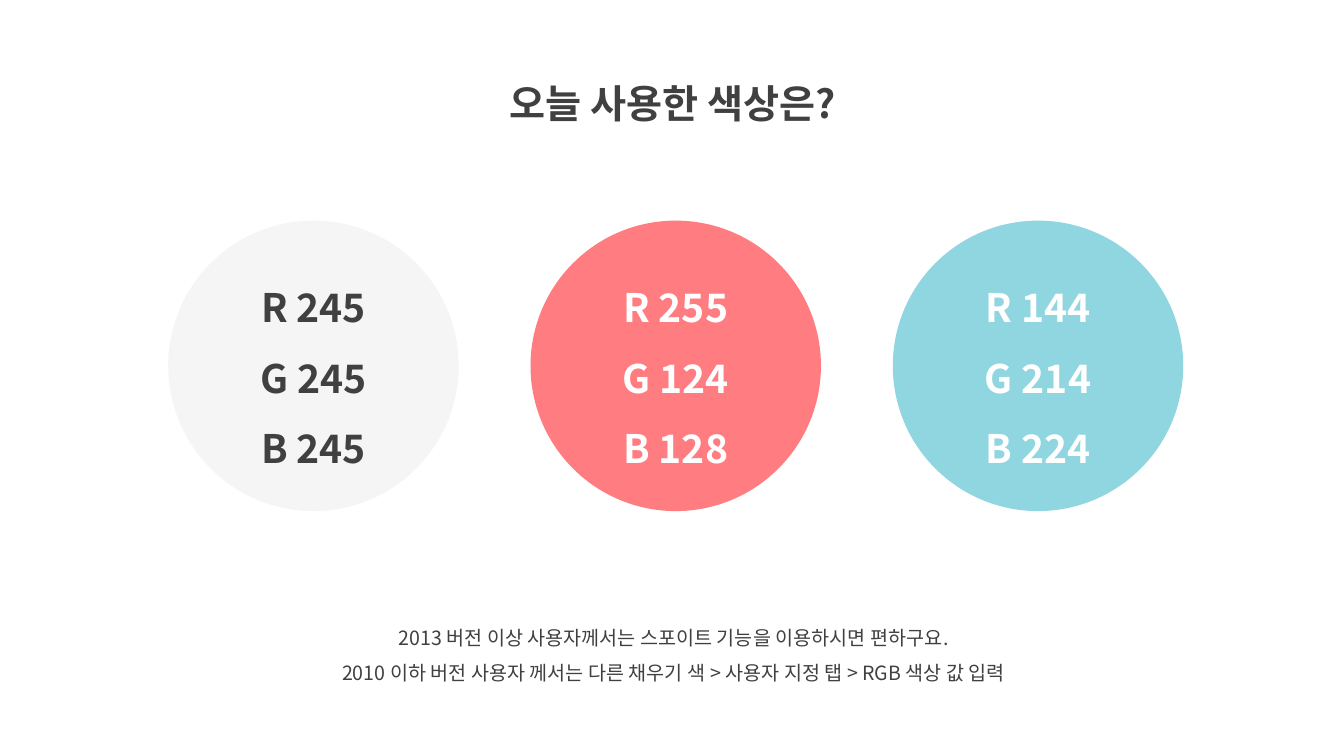
from lxml import etree
from pptx import Presentation
from pptx.dml.color import RGBColor
from pptx.enum.shapes import MSO_SHAPE
from pptx.enum.text import MSO_ANCHOR, MSO_AUTO_SIZE, PP_ALIGN
from pptx.oxml.ns import qn
from pptx.util import Cm, Pt

# Content
TITLE = ["오늘 사용한 색상은?"]
NOTES = [
    "2013 버전 이상 사용자께서는 스포이트 기능을 이용하시면 편하구요.",
    "2010 이하 버전 사용자 께서는 다른 채우기 색 > 사용자 지정 탭 > RGB 색상 값 입력",
]
DARK = RGBColor(64, 64, 64)
WHITE = RGBColor(255, 255, 255)
SWATCHES = [  # fill, text colour
    (RGBColor(245, 245, 245), DARK),
    (RGBColor(255, 124, 128), WHITE),
    (RGBColor(144, 214, 224), WHITE),
]

# Layout, in centimetres
FONT = "Noto Sans CJK KR"
CIRCLE_LEFT, CIRCLE_TOP, CIRCLE_SIZE, CIRCLE_PITCH = 4.24, 5.56, 7.32, 9.13


def write_lines(frame, lines, size, color, bold=False):
    frame.word_wrap = True
    for i, line in enumerate(lines):
        paragraph = frame.paragraphs[0] if i == 0 else frame.add_paragraph()
        paragraph.alignment = PP_ALIGN.CENTER
        paragraph.line_spacing = 1.5
        run = paragraph.add_run()
        run.text = line
        font = run.font
        font.name, font.size, font.bold = FONT, Pt(size), bold
        font.color.rgb = color
        # Korean glyphs take the East Asian typeface
        etree.SubElement(run._r.get_or_add_rPr(), qn("a:ea"), typeface=FONT)


def add_text(slide, box, lines, size, bold=False):
    frame = slide.shapes.add_textbox(*map(Cm, box)).text_frame
    write_lines(frame, lines, size, DARK, bold)
    frame.auto_size = MSO_AUTO_SIZE.SHAPE_TO_FIT_TEXT


prs = Presentation()
prs.slide_width, prs.slide_height = Cm(33.87), Cm(19.05)
slide = prs.slides.add_slide(prs.slide_layouts[6])

# Title and notes
add_text(slide, (11.07, 1.27, 11.76, 1.83), TITLE, 28, bold=True)
add_text(slide, (6.83, 15.34, 20.29, 2.06), NOTES, 14)

# Colour circles, each labelled with its own RGB values
for i, (fill, text_color) in enumerate(SWATCHES):
    circle = slide.shapes.add_shape(
        MSO_SHAPE.OVAL, Cm(CIRCLE_LEFT + i * CIRCLE_PITCH), Cm(CIRCLE_TOP),
        Cm(CIRCLE_SIZE), Cm(CIRCLE_SIZE))
    circle.shadow.inherit = False
    circle.fill.solid()
    circle.fill.fore_color.rgb = fill
    circle.line.fill.background()
    circle.text_frame.vertical_anchor = MSO_ANCHOR.MIDDLE
    labels = [f"{channel} {value}" for channel, value in zip("RGB", fill)]
    write_lines(circle.text_frame, labels, 28, text_color, bold=True)

prs.save("out.pptx")
